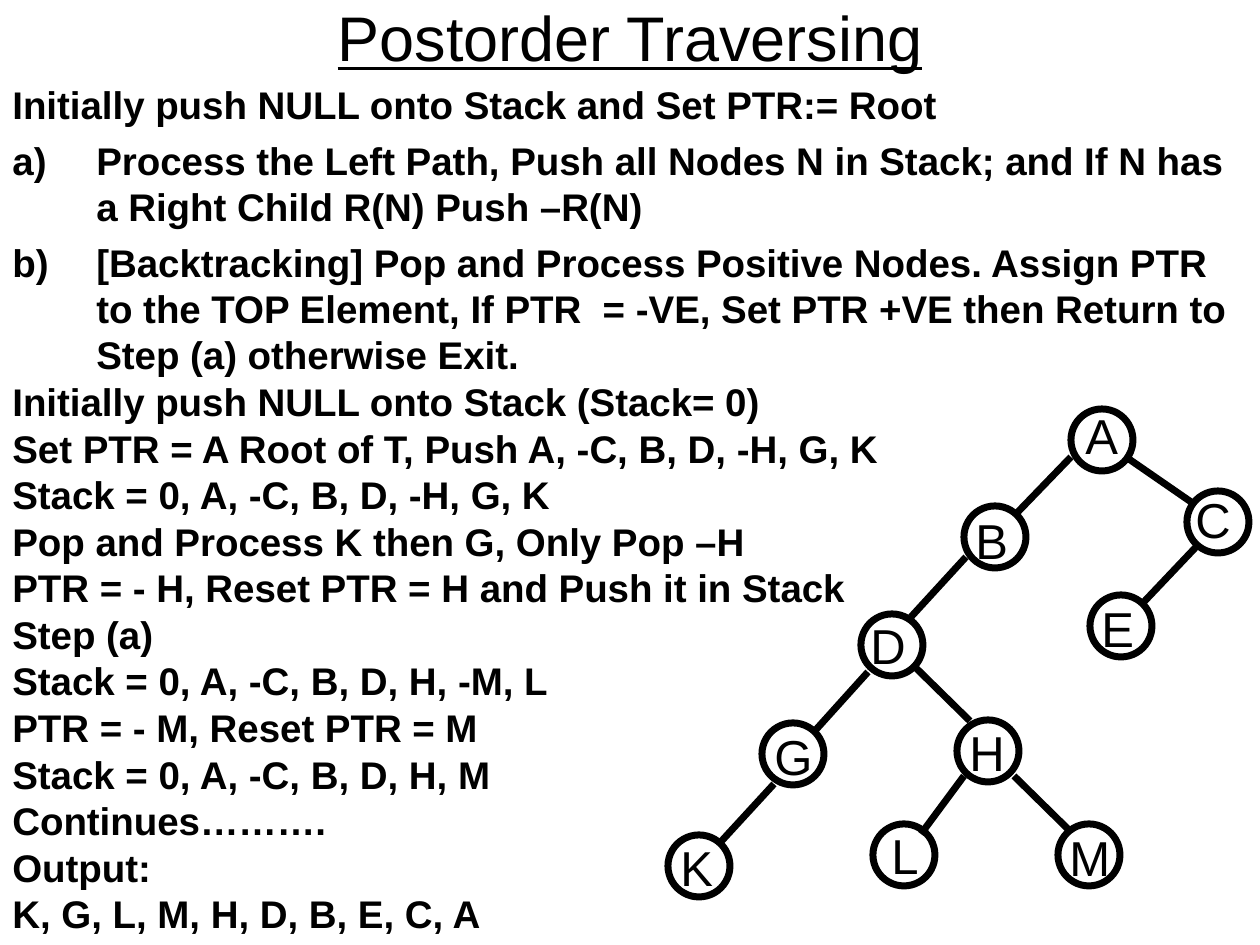
from lxml import etree
from pptx import Presentation
from pptx import util as u
from pptx.dml.color import RGBColor
from pptx.enum import shapes, text
from pptx.oxml.ns import qn

PX = 914400 // 126
BLACK = "000000"
INDENT = 84 * PX
NODE = 62

prs = Presentation()
prs.slide_width, prs.slide_height = u.Inches(10), u.Inches(7.5)
s = prs.slides.add_slide(prs.slide_layouts[6])


def add_text(box, lines, size, bold=False, underline=False, wrap=True,
             align=text.PP_ALIGN.LEFT, anchor=text.MSO_ANCHOR.TOP):
    """Add a text box at box (px) and return its paragraphs."""
    tf = s.shapes.add_textbox(*(v * PX for v in box)).text_frame
    tf.word_wrap, tf.vertical_anchor = wrap, anchor
    for i, line in enumerate(lines):
        p = tf.paragraphs[0] if i == 0 else tf.add_paragraph()
        p.alignment = align
        r = p.add_run()
        r.text = line
        r.font.name, r.font.size = "Arial", u.Pt(size)
        r.font.bold, r.font.underline = bold, underline
        r.font.color.rgb = RGBColor.from_string(BLACK)
    return tf.paragraphs


def set_line(shape):
    shape.line.color.rgb = RGBColor.from_string(BLACK)
    shape.line.width = u.Pt(4)


add_text((63, 0, 1134, 73), ["Postorder Traversing"], 36, underline=True,
         align=text.PP_ALIGN.CENTER, anchor=text.MSO_ANCHOR.MIDDLE)

steps = [
    "Process the Left Path, Push all Nodes N in Stack; and If N has a Right "
    "Child R(N) Push –R(N)",
    "[Backtracking] Pop and Process Positive Nodes. Assign PTR to the TOP "
    "Element, If PTR  = -VE, Set PTR +VE then Return to Step (a) otherwise Exit.",
]
body = [
    "Initially push NULL onto Stack and Set PTR:= Root",
    *steps,
    "Initially push NULL onto Stack (Stack= 0)",
    "Set PTR = A Root of T, Push A, -C, B, D, -H, G, K",
    "Stack = 0, A, -C, B, D, -H, G, K",
    "Pop and Process K then G, Only Pop –H",
    "PTR = - H, Reset PTR = H and Push it in Stack",
    "Step (a)",
    "Stack = 0, A, -C, B, D, H, -M, L",
    "PTR = - M, Reset PTR = M",
    "Stack = 0, A, -C, B, D, H, M",
    "Continues……….",
    "Output:",
    "K, G, L, M, H, D, B, E, C, A",
]
for i, p in enumerate(add_text((0, 84, 1260, 861), body, 22, bold=True)):
    is_step = p.text in steps
    p.line_spacing = 1.0 if is_step else 0.8
    if i:
        p.space_before = u.Pt(5.5)
    pPr = p._p.get_or_add_pPr()
    pPr.set("marL", str(INDENT))
    pPr.set("indent", str(-INDENT))
    if is_step:
        etree.SubElement(pPr, qn("a:buFont")).set("typeface", "Arial")
        etree.SubElement(pPr, qn("a:buAutoNum")).set("type", "alphaLcParenR")
    else:
        etree.SubElement(pPr, qn("a:buNone"))

# letter: circle left, top; label offset x, y; label width
nodes = {
    "A": (1071, 409, 2, -10, 58),
    "B": (964, 506, -1, -2, 58),
    "C": (1187, 491, -4, -8, 60),
    "D": (861, 614, -3, -5, 60),
    "E": (1090, 595, -1, -3, 58),
    "G": (762, 723, 0, -3, 63),
    "H": (957, 720, 0, -4, 60),
    "K": (668, 835, 0, -4, 58),
    "L": (873, 824, 6, -5, 52),
    "M": (1058, 824, -1, -3, 66),
}
for letter, (x, y, dx, dy, width) in nodes.items():
    circle = s.shapes.add_shape(shapes.MSO_SHAPE.OVAL, x * PX, y * PX,
                                NODE * PX, NODE * PX)
    circle.shadow.inherit = False
    circle.fill.background()
    set_line(circle)
    add_text((x + dx, y + dy, width, 72), [letter], 28, wrap=False)

edges = [
    (1071, 457, 1016, 514),  # A-B
    (1126, 457, 1194, 504),  # A-C
    (966, 557, 911, 617),    # B-D
    (1197, 546, 1142, 604),  # C-E
    (868, 672, 813, 733),    # D-G
    (915, 667, 970, 721),    # D-H
    (774, 784, 718, 845),    # G-K
    (964, 776, 921, 834),    # H-L
    (1014, 776, 1071, 832),  # H-M
]
for edge in edges:
    link = s.shapes.add_connector(shapes.MSO_CONNECTOR.STRAIGHT,
                                  *(v * PX for v in edge))
    set_line(link)
    etree.SubElement(link._element.spPr, qn("a:effectLst"))

prs.save("out.pptx")
